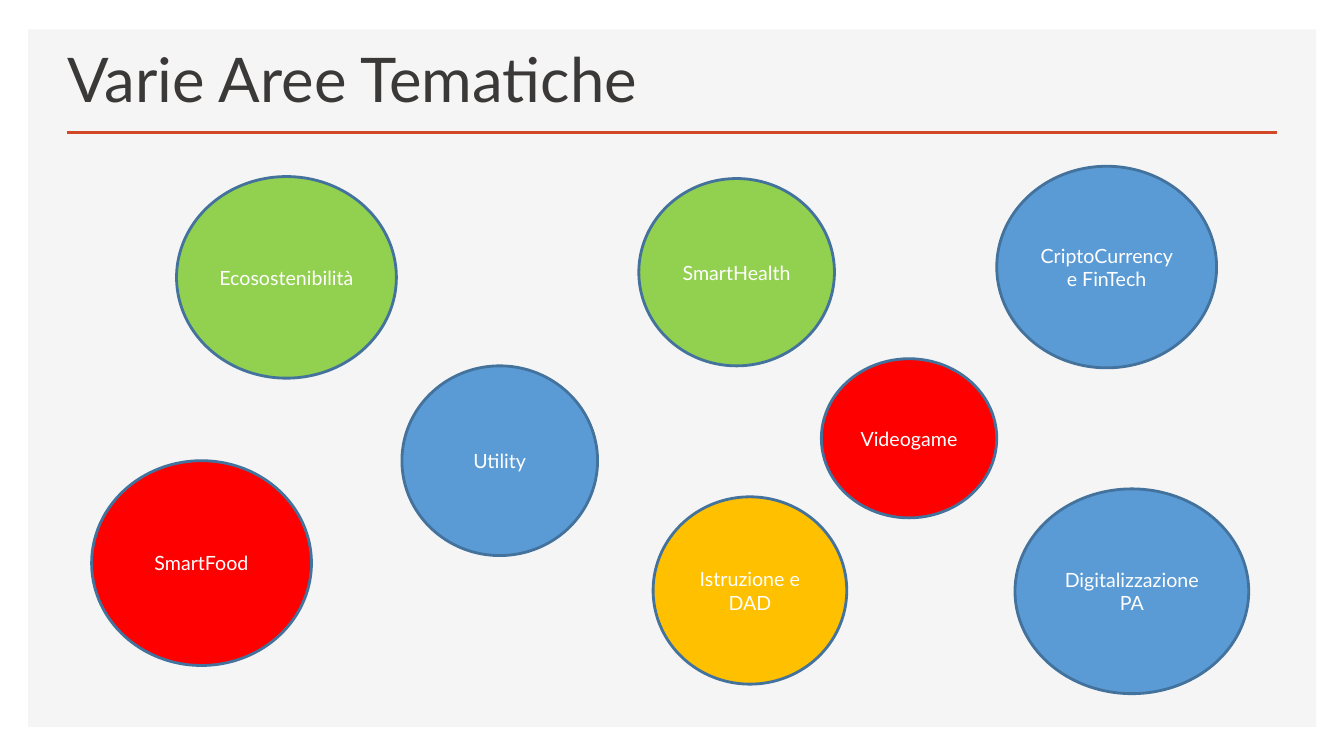
from lxml.etree import SubElement
from pptx import Presentation
from pptx.dml.color import RGBColor
from pptx.enum.shapes import MSO_CONNECTOR, MSO_SHAPE
from pptx.enum.text import MSO_ANCHOR, MSO_AUTO_SIZE, PP_ALIGN
from pptx.oxml.ns import qn
from pptx.util import Cm, Pt

TITLE = "Varie Aree Tematiche"
FONT = "Lato"
GREEN, BLUE, RED, YELLOW = "92D050", "5B9BD5", "FF0000", "FFC000"
THEMES = [
    ("SmartHealth", GREEN, (16.1, 4.5, 4.93, 4.72)),
    ("Ecosostenibilità", GREEN, (4.45, 4.45, 5.54, 5.08)),
    ("CriptoCurrency e FinTech", BLUE, (25.12, 4.19, 5.54, 5.08)),
    ("Videogame", RED, (20.7, 9.04, 4.42, 4.01)),
    ("Utility", BLUE, (10.13, 9.22, 4.93, 4.78)),
    ("Digitalizzazione\nPA", BLUE, (25.58, 12.32, 5.89, 5.16)),
    ("SmartFood", RED, (2.31, 11.61, 5.54, 5.16)),
    ("Istruzione e DAD", YELLOW, (16.46, 12.52, 4.88, 4.72)),
]


def color(value):
    return RGBColor.from_string(value)


def add_filled_shape(slide, kind, box, fill):
    shape = slide.shapes.add_shape(kind, *map(Cm, box))
    shape.shadow.inherit = False
    shape.fill.solid()
    shape.fill.fore_color.rgb = color(fill)
    return shape


def style_text(frame, size, text_color, alignment):
    for paragraph in frame.paragraphs:
        paragraph.alignment = alignment
        paragraph.font.name = FONT
        paragraph.font.size = Pt(size)
        paragraph.font.color.rgb = color(text_color)


def add_title(slide):
    title = slide.shapes.title
    title.left, title.top, title.width, title.height = map(Cm, (1.45, 1.24, 19.1, 1.78))
    frame = title.text_frame
    frame.text = TITLE
    frame.auto_size = MSO_AUTO_SIZE.NONE
    frame.vertical_anchor = MSO_ANCHOR.BOTTOM
    style_text(frame, 44, "3B3838", PP_ALIGN.LEFT)
    return title


def add_backdrop(slide, title):
    panel = add_filled_shape(slide, MSO_SHAPE.RECTANGLE, (0.71, 0.74, 32.46, 17.58), "F5F5F5")
    panel.line.fill.background()
    rule = slide.shapes.add_connector(
        MSO_CONNECTOR.STRAIGHT, Cm(1.68), Cm(3.33), Cm(32.18), Cm(3.33)
    )
    rule.line.color.rgb = color("D24726")
    rule.line.width = Pt(2)
    SubElement(rule.element.spPr, qn("a:effectLst"))
    for shape in (panel, rule):
        title.element.addprevious(shape.element)


def add_theme(slide, name, fill, box):
    ellipse = add_filled_shape(slide, MSO_SHAPE.OVAL, box, fill)
    ellipse.line.color.rgb = color("43729D")
    ellipse.line.width = Pt(2)
    frame = ellipse.text_frame
    frame.text = name
    frame.word_wrap = True
    frame.vertical_anchor = MSO_ANCHOR.MIDDLE
    style_text(frame, 14, "FFFFFF", PP_ALIGN.CENTER)


def main():
    presentation = Presentation()
    presentation.slide_width = Cm(33.87)
    presentation.slide_height = Cm(19.05)
    slide = presentation.slides.add_slide(presentation.slide_layouts[5])
    title = add_title(slide)
    add_backdrop(slide, title)
    for name, fill, box in THEMES:
        add_theme(slide, name, fill, box)
    presentation.save("out.pptx")


if __name__ == "__main__":
    main()
